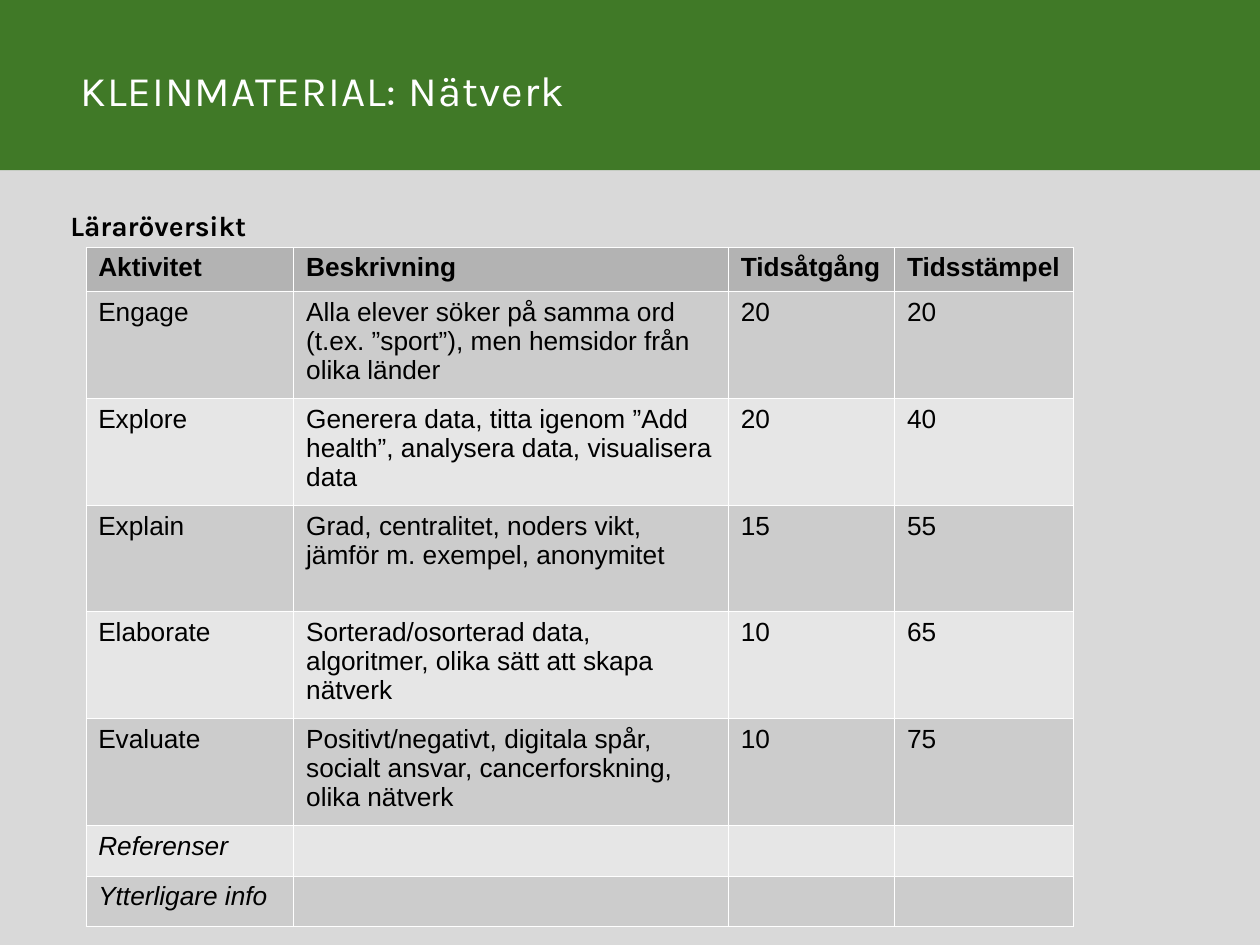
from lxml import etree
from pptx import Presentation
from pptx.dml.color import RGBColor
from pptx.enum.shapes import MSO_SHAPE
from pptx.oxml.ns import qn
from pptx.util import Inches, Pt

RECTANGLE = MSO_SHAPE.RECTANGLE
WHITE = RGBColor(0xFF, 0xFF, 0xFF)
BLACK = RGBColor(0, 0, 0)
GREEN = RGBColor(0x40, 0x79, 0x27)
PALE_GREY = RGBColor(0xD9, 0xD9, 0xD9)
HEADER_GREY = RGBColor(0xB3, 0xB3, 0xB3)
ROW_GREYS = (RGBColor(0xE6, 0xE6, 0xE6), RGBColor(0xCC, 0xCC, 0xCC))

ACTIVITIES = [
    ("Aktivitet", "Beskrivning", "Tidsåtgång", "Tidsstämpel"),
    ("Engage", "Alla elever söker på samma ord (t.ex. ”sport”), men hemsidor från olika länder", "20", "20"),
    ("Explore", "Generera data, titta igenom ”Add health”, analysera data, visualisera data", "20", "40"),
    ("Explain", "Grad, centralitet, noders vikt, \vjämför m. exempel, anonymitet", "15", "55"),
    ("Elaborate", "Sorterad/osorterad data, algoritmer, olika sätt att skapa nätverk", "10", "65"),
    ("Evaluate", "Positivt/negativt, digitala spår, socialt ansvar, cancerforskning, olika nätverk", "10", "75"),
    ("Referenser", "", "", ""),
    ("Ytterligare info", "", "", ""),
]
COLUMN_WIDTHS = (1.65, 3.45, 1.32, 1.42)
ROW_HEIGHTS = [0.34] + [0.84] * 5 + [0.38] * 2


def style_text(paragraph, font_name, size, color, bold=False, italic=False):
    """Format every run of a paragraph."""
    for run in paragraph.runs:
        font = run.font
        font.name, font.size = font_name, Pt(size)
        font.bold, font.italic = bold, italic
        font.color.rgb = color


def add_borders(cell):
    """Give a table cell thin white borders on all sides."""
    properties = cell._tc.get_or_add_tcPr()
    for side in ("a:lnL", "a:lnR", "a:lnT", "a:lnB"):
        line = etree.SubElement(properties, qn(side), w=str(Pt(0.06)))
        fill = etree.SubElement(line, qn("a:solidFill"))
        etree.SubElement(fill, qn("a:srgbClr"), val=str(WHITE))


prs = Presentation()
prs.slide_width, prs.slide_height = Inches(10), Inches(7.5)
slide = prs.slides.add_slide(prs.slide_layouts[6])

for top, height, color in ((1.35, 6.15, PALE_GREY), (0, 1.35, GREEN)):
    band = slide.shapes.add_shape(RECTANGLE, 0, Inches(top), Inches(10), Inches(height))
    band.shadow.inherit = False
    band.fill.solid()
    band.fill.fore_color.rgb = color
    band.line.fill.background()

title = slide.shapes.add_textbox(Inches(0.64), Inches(0.53), Inches(4.07), Inches(0.36)).text_frame
title.word_wrap = True
title.margin_left = title.margin_right = title.margin_bottom = 0
title.margin_top = Inches(0.02)
title.text = "KLEINMATERIAL: Nätverk"
heading = title.paragraphs[0]
heading.line_spacing = Pt(25.9)
style_text(heading, "Karla", 24, WHITE)
heading.runs[0].font._element.set("spc", "60")

subtitle = slide.shapes.add_textbox(Inches(0.46), Inches(1.61), Inches(2.69), Inches(0.63)).text_frame
subtitle.word_wrap = True
subtitle.text = "Läraröversikt"
style_text(subtitle.paragraphs[0], "Karla", 16, BLACK, bold=True)

overview = slide.shapes.add_table(
    len(ACTIVITIES), len(COLUMN_WIDTHS), Inches(0.68), Inches(1.96),
    Inches(sum(COLUMN_WIDTHS)), Inches(sum(ROW_HEIGHTS))).table
overview.first_row = overview.horz_banding = False
for column, width in zip(overview.columns, COLUMN_WIDTHS):
    column.width = Inches(width)

for row_index, (texts, height) in enumerate(zip(ACTIVITIES, ROW_HEIGHTS)):
    overview.rows[row_index].height = Inches(height)
    is_header = row_index == 0
    for column_index, text in enumerate(texts):
        cell = overview.cell(row_index, column_index)
        add_borders(cell)
        cell.fill.solid()
        cell.fill.fore_color.rgb = HEADER_GREY if is_header else ROW_GREYS[row_index % 2]
        if text:
            cell.text = text
            style_text(cell.text_frame.paragraphs[0], "Arial", 15, BLACK,
                       bold=is_header, italic=row_index > 5)

prs.save("out.pptx")
